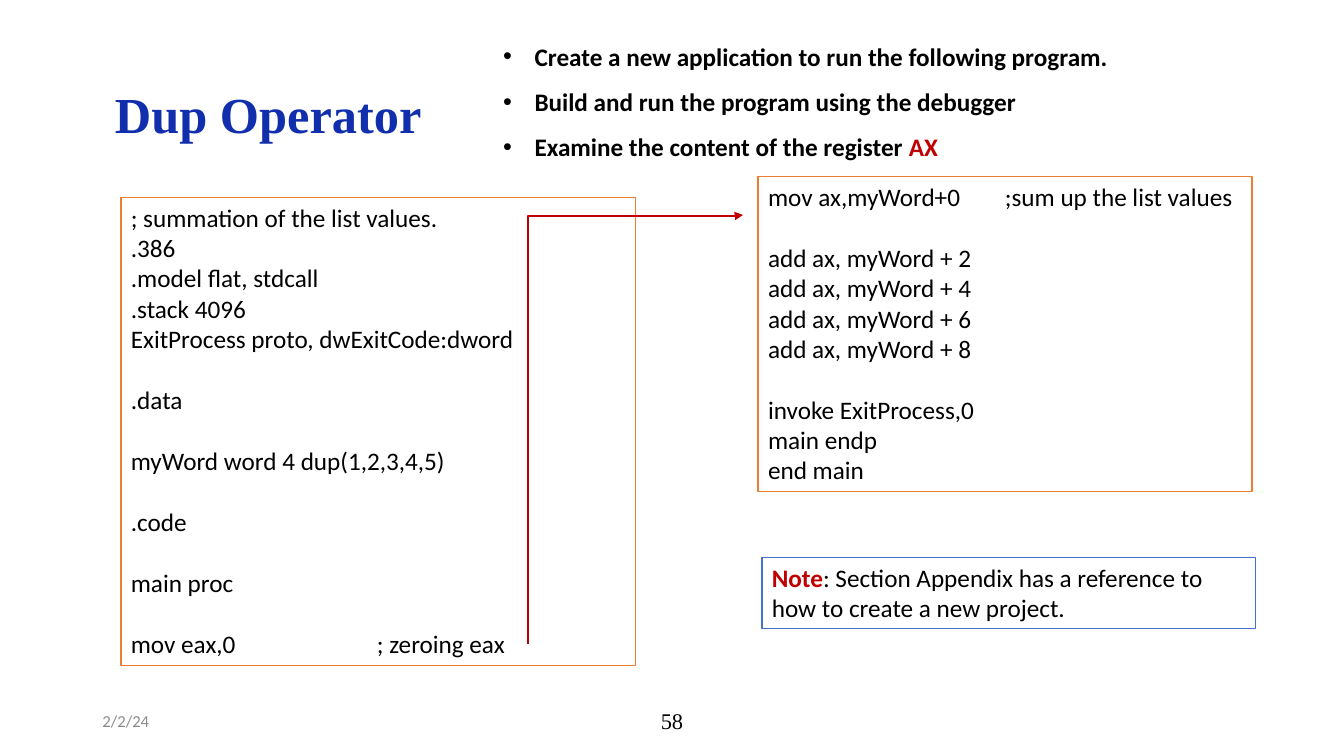
from dataclasses import dataclass

import lxml.etree
import pptx
import pptx.dml.color
import pptx.enum.shapes
import pptx.enum.text
import pptx.oxml.ns
import pptx.presentation
import pptx.shapes.base
import pptx.slide
import pptx.text.text
import pptx.util

Align = pptx.enum.text.PP_ALIGN
Anchor = pptx.enum.text.MSO_ANCHOR
COLUMNS, ROWS = 160, 90


@dataclass(frozen=True)
class Theme:
    ink: str = "000000"
    title: str = "112EAC"
    accent: str = "C00000"
    code_border: str = "ED7D31"
    note_border: str = "4472C4"
    paper: str = "FFFFFF"
    muted: str = "8C8C8C"
    sans: str = "Calibri"
    serif: str = "Times New Roman"
    title_size: int = 36
    body_size: int = 18
    number_size: int = 16
    date_size: int = 12
    code_line: int = 22  # height of one line of code, in points


THEME = Theme()


@dataclass(frozen=True)
class Area:
    """A place on the grid, in columns and rows."""
    column: float
    row: float
    columns: float
    rows: float


@dataclass(frozen=True)
class Style:
    size: int
    color: str = THEME.ink
    name: str = THEME.sans
    bold: bool = False


@dataclass(frozen=True)
class Label:
    area: Area
    text: str
    style: Style
    align: Align = Align.LEFT


@dataclass(frozen=True)
class CodeBox:
    area: Area
    blocks: tuple[str, ...]  # one blank line stands between blocks
    comment_tab: float  # columns from the start of the text


BODY = Style(THEME.body_size)
BODY_BOLD = Style(THEME.body_size, bold=True)

LABELS = [
    Label(Area(12.5, 4.8, 136.5, 17.4), "Dup Operator",
          Style(THEME.title_size, THEME.title, THEME.serif, True)),
    Label(Area(53, 83.4, 54, 4.8), "58",
          Style(THEME.number_size, name=THEME.serif), Align.CENTER),
    Label(Area(11, 83.4, 36, 4.8), "2/2/24", Style(THEME.date_size, THEME.muted)),
]
CODE_BOXES = [
    CodeBox(Area(14.4, 23.5, 61.3, 55.7), (
        "; summation of the list values.\n.386\n.model flat, stdcall\n"
        ".stack 4096\nExitProcess proto, dwExitCode:dword",
        ".data",
        "myWord word 4 dup(1,2,3,4,5)",
        ".code",
        "main proc",
        "mov eax,0\t; zeroing eax",
    ), 29.3),
    CodeBox(Area(90.25, 21, 58.8, 37.55), (
        "mov ax,myWord+0\t;sum up the list values",
        "\n".join(f"add ax, myWord + {offset}" for offset in (2, 4, 6, 8)),
        "invoke ExitProcess,0\nmain endp\nend main",
    ), 28.2),
]
TASKS_AREA = Area(58.7, 2.5, 85, 17.5)
TASKS = [
    ("Create a new application to run the following program.", ""),
    ("Build and run the program using the debugger", ""),
    ("Examine the content of the register ", "AX"),
]
TASK_INDENT = 3.75
NOTE_AREA = Area(90.7, 66.35, 58.8, 8.5)
ARROW_AREA = Area(62.9, 25.6, 25.55, 51.1)


def rgb(color: str) -> pptx.dml.color.RGBColor:
    return pptx.dml.color.RGBColor.from_string(color)


def add_xml(parent: lxml.etree._Element, tag: str, **attributes: str) -> lxml.etree._Element:
    element = lxml.etree.SubElement(parent, pptx.oxml.ns.qn(tag))
    for name, value in attributes.items():
        element.set(name, value)
    return element


def set_font(paragraph: pptx.text.text._Paragraph, style: Style) -> None:
    font = paragraph.font
    font.size = pptx.util.Pt(style.size)
    font.name = style.name
    font.bold = style.bold
    font.color.rgb = rgb(style.color)


def add_accent(paragraph: pptx.text.text._Paragraph, text: str) -> None:
    run = paragraph.add_run()
    run.text = text
    run.font.bold = True
    run.font.color.rgb = rgb(THEME.accent)


@dataclass
class Canvas:
    slide: pptx.slide.Slide
    width: int
    height: int

    def across(self, columns: float) -> int:
        return round(self.width * columns / COLUMNS)

    def down(self, rows: float) -> int:
        return round(self.height * rows / ROWS)

    def bounds(self, area: Area) -> tuple[int, int, int, int]:
        return (self.across(area.column), self.down(area.row),
                self.across(area.columns), self.down(area.rows))

    def text_frame(self, area: Area, anchor: Anchor) -> pptx.text.text.TextFrame:
        frame = self.slide.shapes.add_textbox(*self.bounds(area)).text_frame
        frame.word_wrap = True
        frame.vertical_anchor = anchor
        return frame

    def framed_box(self, area: Area, border: str) -> pptx.text.text.TextFrame:
        shape = self.slide.shapes.add_shape(
            pptx.enum.shapes.MSO_SHAPE.RECTANGLE, *self.bounds(area))
        shape.shadow.inherit = False
        shape.fill.solid()
        shape.fill.fore_color.rgb = rgb(THEME.paper)
        shape.line.color.rgb = rgb(border)
        shape.line.width = pptx.util.Pt(1)
        shape.text_frame.word_wrap = True
        shape.text_frame.vertical_anchor = Anchor.TOP
        return shape.text_frame

    def label(self, label: Label) -> None:
        paragraph = self.text_frame(label.area, Anchor.MIDDLE).paragraphs[0]
        paragraph.text = label.text
        paragraph.alignment = label.align
        set_font(paragraph, label.style)

    def code_box(self, box: CodeBox) -> None:
        frame = self.framed_box(box.area, THEME.code_border)
        frame.text = "\n".join(box.blocks)
        block_starts = {sum(block.count("\n") + 1 for block in box.blocks[:index])
                        for index in range(1, len(box.blocks))}
        for number, paragraph in enumerate(frame.paragraphs):
            paragraph.alignment = Align.LEFT
            if number in block_starts:
                paragraph.space_before = pptx.util.Pt(THEME.code_line)
            if "\t" in paragraph.text:
                tabs = add_xml(paragraph._p.get_or_add_pPr(), "a:tabLst")
                add_xml(tabs, "a:tab", pos=str(self.across(box.comment_tab)), algn="l")
            set_font(paragraph, BODY)

    def tasks(self) -> None:
        frame = self.text_frame(TASKS_AREA, Anchor.TOP)
        frame.text = "\n".join(task for task, _ in TASKS)
        indent = self.across(TASK_INDENT)
        for paragraph, (_, register) in zip(frame.paragraphs, TASKS):
            paragraph.line_spacing = 1.5
            properties = paragraph._p.get_or_add_pPr()
            properties.set("marL", str(indent))
            properties.set("indent", str(-indent))
            add_xml(properties, "a:buFont", typeface="Arial")
            add_xml(properties, "a:buChar", char="•")
            set_font(paragraph, BODY_BOLD)
            if register:
                add_accent(paragraph, register)

    def note(self) -> None:
        paragraph = self.framed_box(NOTE_AREA, THEME.note_border).paragraphs[0]
        paragraph.alignment = Align.LEFT
        set_font(paragraph, BODY)
        add_accent(paragraph, "Note")
        paragraph.add_run().text = ": Section Appendix has a reference to how to create a new project."

    def arrow(self) -> None:
        # A quarter turn about the centre swaps the two sides
        left, top, width, height = self.bounds(ARROW_AREA)
        middle_x, middle_y = left + width // 2, top + height // 2
        connector = self.slide.shapes.add_connector(
            pptx.enum.shapes.MSO_CONNECTOR.ELBOW,
            middle_x + height // 2, middle_y + width // 2,
            middle_x - height // 2, middle_y - width // 2)
        connector.line.color.rgb = rgb(THEME.accent)
        connector.line.width = pptx.util.Pt(1.5)
        properties = connector._element.spPr
        properties.find(pptx.oxml.ns.qn("a:xfrm")).set("rot", str(90 * 60000))
        adjustments = properties.find(".//" + pptx.oxml.ns.qn("a:avLst"))
        add_xml(adjustments, "a:gd", name="adj1", fmla="val 99800")
        add_xml(connector.line._get_or_add_ln(), "a:tailEnd", type="triangle")
        add_xml(properties, "a:effectLst")


def main() -> None:
    presentation = pptx.Presentation()
    presentation.slide_width = pptx.util.Inches(13.33)
    presentation.slide_height = pptx.util.Inches(7.5)
    slide = presentation.slides.add_slide(presentation.slide_layouts[6])
    canvas = Canvas(slide, presentation.slide_width, presentation.slide_height)
    # Title, page number and date
    for label in LABELS:
        canvas.label(label)
    # Instructions, program and note
    canvas.tasks()
    for box in CODE_BOXES:
        canvas.code_box(box)
    canvas.note()
    # Flow from the first part of the program to the second
    canvas.arrow()
    presentation.save("out.pptx")


if __name__ == "__main__":
    main()
